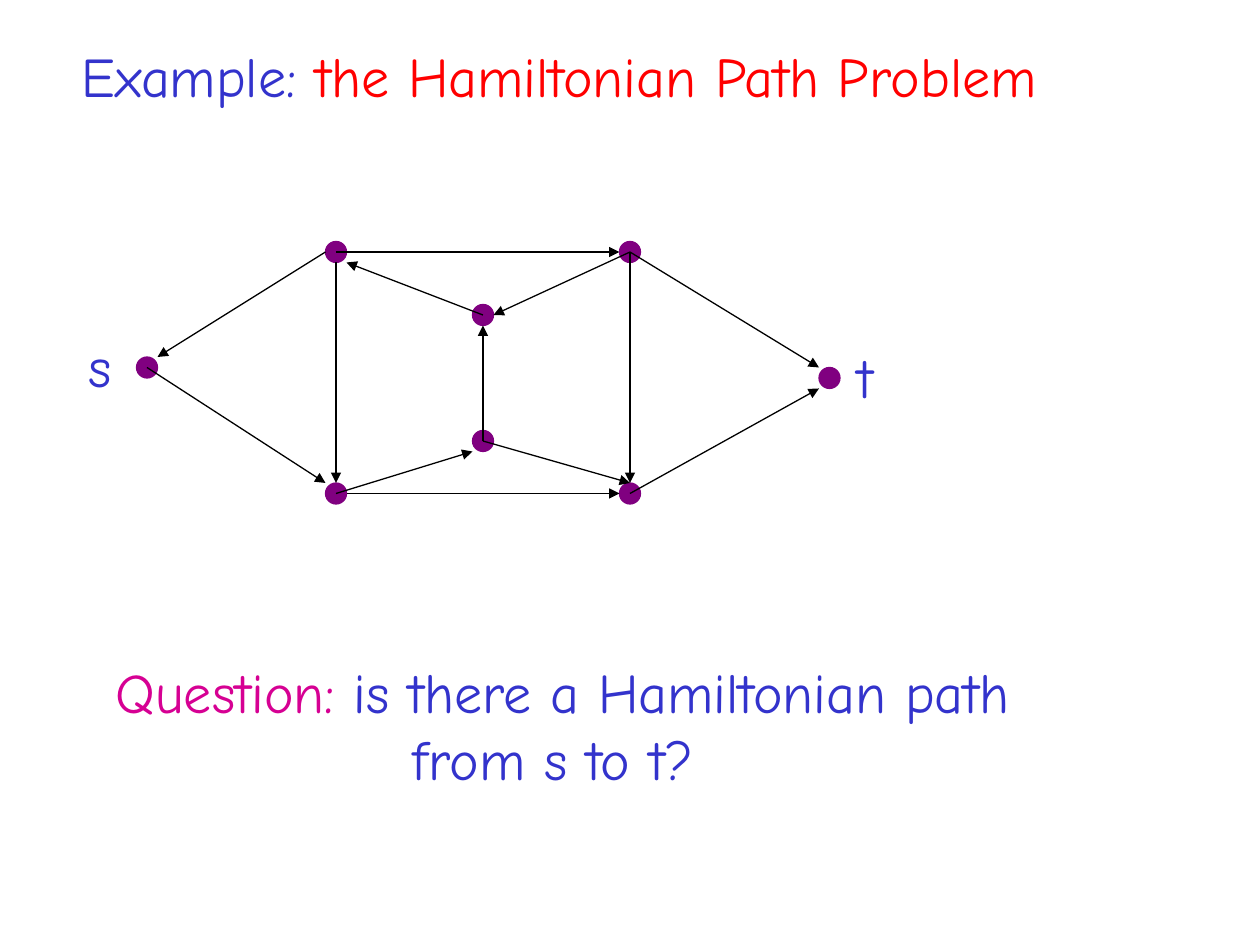
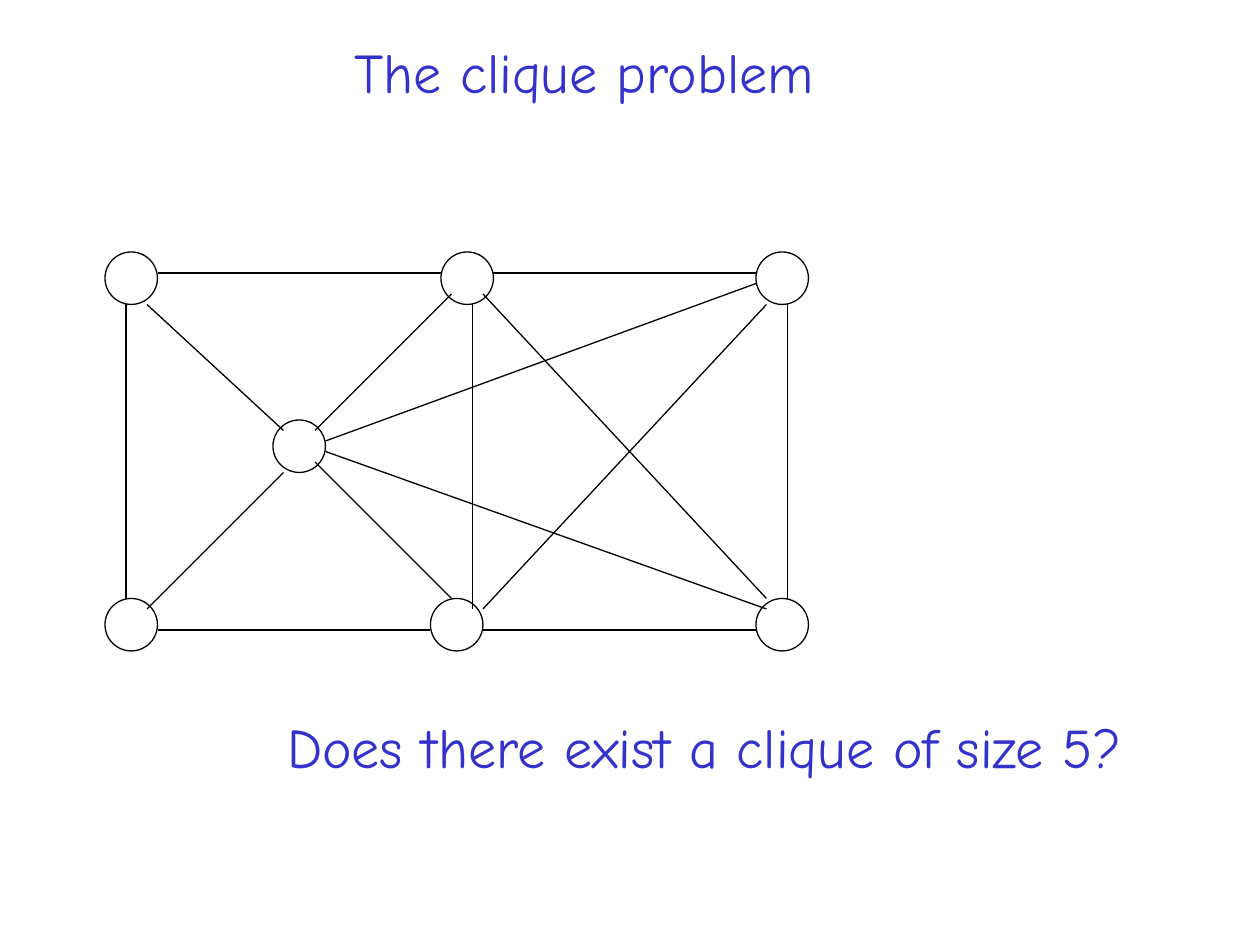
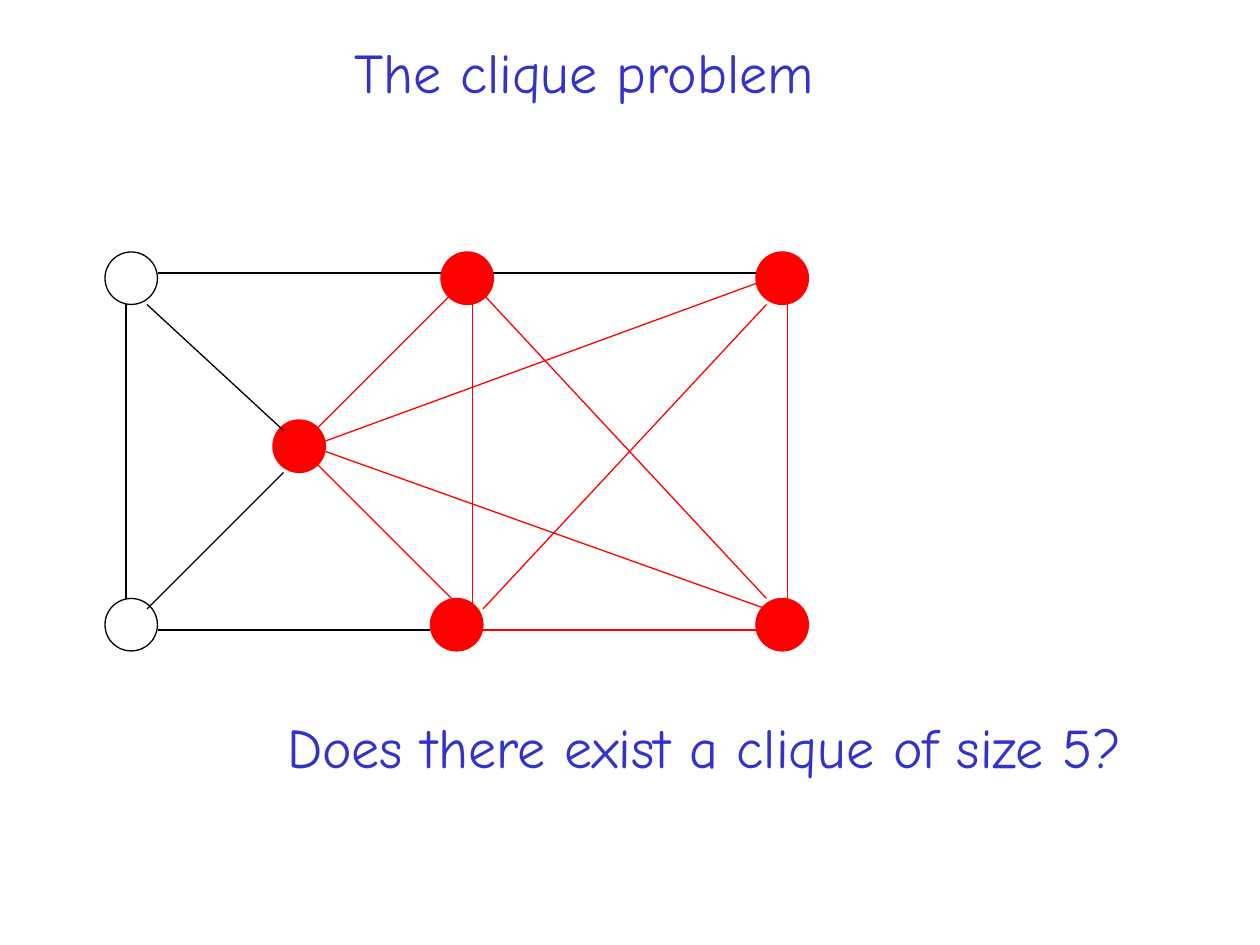
from typing import NamedTuple

from lxml import etree
from pptx import Presentation
from pptx import util as u
from pptx.dml.color import RGBColor
from pptx.enum import shapes, text
from pptx.oxml.ns import qn

COLUMNS, ROWS = 120, 90
CELL = u.Inches(10) // COLUMNS
TITLE_ONLY = 5
LINE_HEIGHT = 7.68  # rows taken by a box with one line of text

FONT = "Comic Neue"
BLUE, RED, MAGENTA = "3333CC", "FF0000", "D60093"
PURPLE, BLACK = "800080", "000000"


class Node(NamedTuple):
    column: int
    row: int
    in_clique: bool = False


class Edge(NamedTuple):
    start: tuple[int, int]
    end: tuple[int, int]
    in_clique: bool = False


class Span(NamedTuple):
    words: str
    color: str = BLUE


PATH_NODES = [
    Node(13, 34), Node(31, 23), Node(31, 46), Node(78, 35),
    Node(59, 46), Node(59, 23), Node(45, 41), Node(45, 29),
]
PATH_EDGES = [
    Edge((31, 24), (15, 34)), Edge((14, 35), (31, 46)), Edge((32, 25), (32, 46)),
    Edge((32, 24), (59, 24)), Edge((33, 47), (59, 47)), Edge((60, 47), (78, 37)),
    Edge((60, 24), (78, 35)), Edge((46, 30), (33, 25)), Edge((60, 24), (47, 30)),
    Edge((46, 42), (46, 31)), Edge((32, 47), (45, 43)), Edge((46, 42), (60, 46)),
    Edge((60, 24), (60, 46)),
]
CLIQUE_NODES = [
    Node(10, 24), Node(42, 24, True), Node(72, 24, True), Node(26, 40, True),
    Node(10, 57), Node(41, 57, True), Node(72, 57, True),
]
CLIQUE_EDGES = [
    Edge((14, 29), (27, 41)), Edge((12, 29), (12, 57)), Edge((15, 60), (41, 60)),
    Edge((30, 44), (43, 57), True), Edge((45, 29), (45, 58), True),
    Edge((47, 26), (72, 26)), Edge((46, 58), (73, 29), True),
    Edge((75, 29), (75, 57), True), Edge((46, 28), (73, 57), True),
    Edge((46, 60), (72, 60), True), Edge((15, 26), (42, 26)),
    Edge((30, 41), (43, 28), True), Edge((14, 58), (27, 45)),
    Edge((31, 43), (73, 58), True), Edge((31, 42), (72, 27), True),
]


def cells(count: float) -> u.Emu:
    return u.Emu(round(count * CELL))


def rgb(color: str) -> RGBColor:
    return RGBColor.from_string(color)


def write(box, lines: list[list[Span]], *, left: float, top: float, width: float,
          second_indent: float = 0) -> None:
    """Place a text shape on the grid and fill it, one list of spans per line."""
    box.left, box.top, box.width = cells(left), cells(top), cells(width)
    box.height = cells(LINE_HEIGHT + (len(lines) - 1) * 6.4)
    frame = box.text_frame
    frame.word_wrap = False
    frame.auto_size = text.MSO_AUTO_SIZE.SHAPE_TO_FIT_TEXT
    frame.vertical_anchor = text.MSO_ANCHOR.TOP
    for number, spans in enumerate(lines):
        para = frame.add_paragraph() if number else frame.paragraphs[0]
        para.alignment = text.PP_ALIGN.LEFT
        if number and second_indent:
            para._p.get_or_add_pPr().set("marL", str(cells(second_indent)))
        for span in spans:
            run = para.add_run()
            run.text = span.words
            run.font.name, run.font.size = FONT, u.Pt(32)
            run.font.color.rgb = rgb(span.color)


def add_label(page, lines: list[list[Span]], **place: float) -> None:
    write(page.shapes.add_textbox(0, 0, 0, 0), lines, **place)


def add_page(deck, title: list[Span], **place: float):
    page = deck.slides.add_slide(deck.slide_layouts[TITLE_ONLY])
    write(page.shapes.title, [title], **place)
    return page


def add_node(page, node: Node, size: int, color: str, filled: bool) -> None:
    circle = page.shapes.add_shape(
        shapes.MSO_SHAPE.OVAL, cells(node.column), cells(node.row), cells(size), cells(size))
    circle.shadow.inherit = False
    circle.line.color.rgb = rgb(color)
    circle.line.width = u.Pt(0.75)
    if filled:
        circle.fill.solid()
        circle.fill.fore_color.rgb = rgb(color)
    else:
        circle.fill.background()


def add_edge(page, edge: Edge, color: str = BLACK, arrow: bool = False) -> None:
    line = page.shapes.add_connector(
        shapes.MSO_CONNECTOR.STRAIGHT, *map(cells, edge.start + edge.end))
    line.line.color.rgb = rgb(color)
    line.line.width = u.Pt(0.75)
    properties = line._element.spPr
    if arrow:
        etree.SubElement(properties.find(qn("a:ln")), qn("a:tailEnd"), type="triangle")
    etree.SubElement(properties, qn("a:effectLst"))


def add_path_page(deck) -> None:
    page = add_page(deck, [Span("Example: "), Span("the Hamiltonian Path Problem", RED)],
                    left=6.6, top=3.36, width=93.96)
    for node in PATH_NODES:
        add_node(page, node, 2, PURPLE, True)
    for edge in PATH_EDGES:
        add_edge(page, edge, arrow=True)
    add_label(page, [[Span("s")]], left=7.2, top=31, width=4.56)
    add_label(page, [[Span("t")]], left=80.52, top=32, width=3.84)
    question = [[Span("Question:", MAGENTA), Span(" is there a Hamiltonian path")],
                [Span("from s to t?")]]
    add_label(page, question, left=9.84, top=62, width=89.64, second_indent=28.3)


def add_clique_page(deck, highlight: bool) -> None:
    page = add_page(deck, [Span("The clique problem")], left=32.52, top=3, width=46.32)
    for node in CLIQUE_NODES:
        marked = highlight and node.in_clique
        add_node(page, node, 5, RED if marked else BLACK, marked)
    for edge in CLIQUE_EDGES:
        add_edge(page, edge, RED if highlight and edge.in_clique else BLACK)
    add_label(page, [[Span("Does there exist a clique of size 5?")]],
              left=26.16, top=67.32, width=82.2)


def main() -> None:
    deck = Presentation()
    deck.slide_width, deck.slide_height = cells(COLUMNS), cells(ROWS)
    add_path_page(deck)
    for highlight in (False, True):
        add_clique_page(deck, highlight)
    deck.save("out.pptx")


if __name__ == "__main__":
    main()
